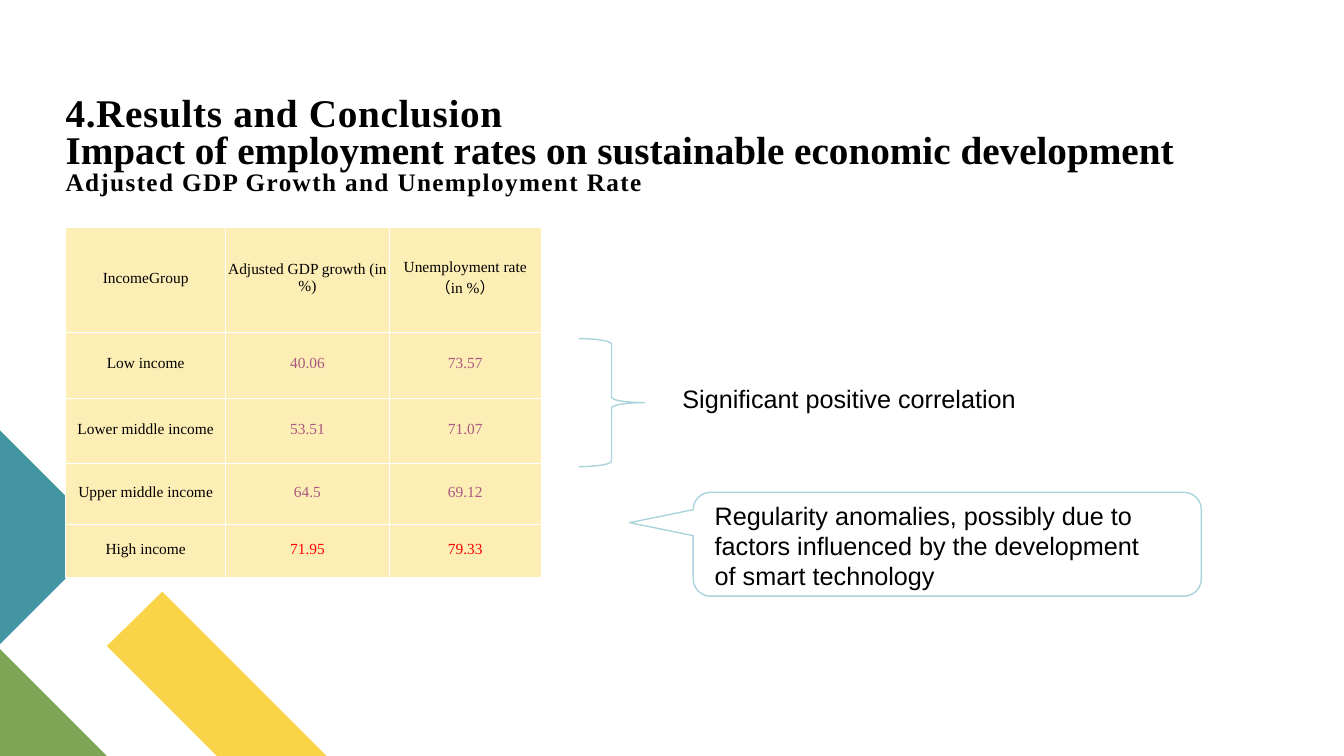
"""Build the slide on employment rates and sustainable economic development."""
import pptx
import pptx.dml.color
import pptx.enum.shapes
import pptx.enum.text
import pptx.oxml
import pptx.oxml.ns
import pptx.util
from pptx.util import Inches

RGBColor = pptx.dml.color.RGBColor
ANCHOR = pptx.enum.text.MSO_ANCHOR
PRESET = pptx.enum.shapes.MSO_SHAPE

BLACK = RGBColor(0x00, 0x00, 0x00)
YELLOW = RGBColor(0xF9, 0xD4, 0x48)
GREEN = RGBColor(0x7C, 0xA6, 0x55)
TEAL = RGBColor(0x44, 0x95, 0xA2)
CREAM = RGBColor(0xFD, 0xEE, 0xB5)
MAUVE = RGBColor(0xAA, 0x58, 0x81)
RED = RGBColor(0xFF, 0x00, 0x00)
PALE_BLUE = RGBColor(0xA9, 0xD4, 0xDB)

SERIF = "Times New Roman"
SANS = "Arial"

DECORATIONS = [
    (YELLOW, [(3.24, 7.5), (2.15, 7.5), (1.06, 6.41), (1.61, 5.87)]),
    (GREEN, [(1.06, 7.5), (0, 7.5), (0, 6.44)]),
    (TEAL, [(0, 4.27), (1.06, 5.33), (0, 6.39)]),
]
HEADING = [
    ("4.Results and Conclusion", 28, 0.5),
    ("Impact of employment rates on sustainable economic development", 28, 0),
    ("Adjusted GDP Growth and Unemployment Rate", 18, 1),
]
INCOME_ROWS = [
    ("IncomeGroup", "Adjusted GDP growth (in %)", "Unemployment rate（in %）"),
    ("Low income", "40.06", "73.57"),
    ("Lower middle income", "53.51", "71.07"),
    ("Upper middle income", "64.5", "69.12"),
    ("High income", "71.95", "79.33"),
]
VALUE_COLOURS = [BLACK, MAUVE, MAUVE, MAUVE, RED]
COLUMN_WIDTHS = [1.59, 1.62, 1.51]
ROW_HEIGHTS = [1.04, 0.65, 0.65, 0.6, 0.53]


def apply(target, formats):
    """Set each attribute named in formats on the target."""
    for attribute, value in formats.items():
        setattr(target, attribute, value)


def add_run(paragraph, text, size, face, colour=BLACK, bold=False):
    """Append a formatted run and return it."""
    run = paragraph.add_run()
    run.text = text
    apply(run.font, {"size": pptx.util.Pt(size), "name": face, "bold": bold})
    run.font.color.rgb = colour
    return run


def add_decoration(slide, colour, corners):
    """Draw a filled polygon through the corners."""
    points = [(Inches(x), Inches(y)) for x, y in corners]
    outline = slide.shapes.build_freeform(*points[0])
    outline.add_line_segments(points[1:], close=True)
    polygon = outline.convert_to_shape()
    polygon.shadow.inherit = False
    polygon.fill.solid()
    polygon.fill.fore_color.rgb = colour
    polygon.line.fill.background()


def add_heading(slide):
    """Write the three heading lines as one paragraph."""
    box = slide.shapes.add_textbox(Inches(0.65), Inches(0.11), Inches(11.89), Inches(1.84))
    frame = box.text_frame
    apply(frame, {"word_wrap": True, "vertical_anchor": ANCHOR.BOTTOM, "margin_left": 0,
                  "margin_top": 0, "margin_right": 0, "margin_bottom": 0})
    paragraph = frame.paragraphs[0]
    paragraph.line_spacing = 0.8
    for index, (text, size, spacing) in enumerate(HEADING):
        if index:
            paragraph.add_line_break()
        run = add_run(paragraph, text, size, SERIF, bold=True)
        run.font._element.set("spc", str(int(spacing * 100)))


def add_borders(cell):
    """Give all four sides of a cell a white one-point line."""
    properties = cell._tc.get_or_add_tcPr()
    for index, side in enumerate(("lnL", "lnR", "lnT", "lnB")):
        border = pptx.oxml.parse_xml(
            f'<a:{side} {pptx.oxml.ns.nsdecls("a")} w="12700"><a:solidFill>'
            f'<a:srgbClr val="FFFFFF"/></a:solidFill></a:{side}>')
        properties.insert(index, border)


def fill_cell(cell, text, colour):
    """Write centred text in a cream cell."""
    apply(cell, {"margin_left": Inches(0.01), "margin_top": Inches(0.01),
                 "margin_right": Inches(0.01), "margin_bottom": Inches(0.05),
                 "vertical_anchor": ANCHOR.MIDDLE})
    cell.fill.solid()
    cell.fill.fore_color.rgb = CREAM
    add_borders(cell)
    paragraph = cell.text_frame.paragraphs[0]
    paragraph.alignment = pptx.enum.text.PP_ALIGN.CENTER
    add_run(paragraph, text, 11, SERIF, colour)


def add_income_table(slide):
    """Add the table of growth and unemployment by income group."""
    table = slide.shapes.add_table(
        len(ROW_HEIGHTS), len(COLUMN_WIDTHS), Inches(0.65), Inches(2.26),
        Inches(sum(COLUMN_WIDTHS)), Inches(sum(ROW_HEIGHTS))).table
    apply(table, {"first_row": False, "horz_banding": False})
    for column, width in zip(table.columns, COLUMN_WIDTHS):
        column.width = Inches(width)
    for row, height in zip(table.rows, ROW_HEIGHTS):
        row.height = Inches(height)
    for row, (texts, value_colour) in enumerate(zip(INCOME_ROWS, VALUE_COLOURS)):
        for column, text in enumerate(texts):
            fill_cell(table.cell(row, column), text, value_colour if column else BLACK)


def add_outline(slide, preset, left, top, width, height, rotation=0):
    """Add an unfilled preset shape with a pale blue line."""
    shape = slide.shapes.add_shape(
        preset, Inches(left), Inches(top), Inches(width), Inches(height))
    shape.rotation = rotation
    shape.shadow.inherit = False
    shape.fill.background()
    shape.line.color.rgb = PALE_BLUE
    shape.line.width = pptx.util.Pt(1)


def add_note(slide, text, left, top, width, height):
    """Add a wrapped remark beside the table."""
    box = slide.shapes.add_textbox(Inches(left), Inches(top), Inches(width), Inches(height))
    apply(box.text_frame, {"word_wrap": True,
                           "auto_size": pptx.enum.text.MSO_AUTO_SIZE.SHAPE_TO_FIT_TEXT})
    add_run(box.text_frame.paragraphs[0], text, 18, SANS)


def main():
    """Build and save the slide."""
    deck = pptx.Presentation()
    apply(deck, {"slide_width": Inches(13.33), "slide_height": Inches(7.5)})
    slide = deck.slides.add_slide(deck.slide_layouts[6])
    for colour, corners in DECORATIONS:
        add_decoration(slide, colour, corners)
    add_heading(slide)
    add_income_table(slide)
    add_note(slide, "Significant positive correlation", 6.67, 3.75, 4.44, 0.4)
    add_outline(slide, PRESET.RIGHT_BRACE, 5.74, 3.36, 0.65, 1.27)
    add_outline(slide, PRESET.ROUNDED_RECTANGULAR_CALLOUT, 8.88, 2.88, 1.03, 5.04, 90)
    add_note(slide, "Regularity anomalies, possibly due to factors influenced by "
             "the development of smart technology", 6.99, 4.91, 4.6, 1.01)
    deck.save("out.pptx")


if __name__ == "__main__":
    main()
